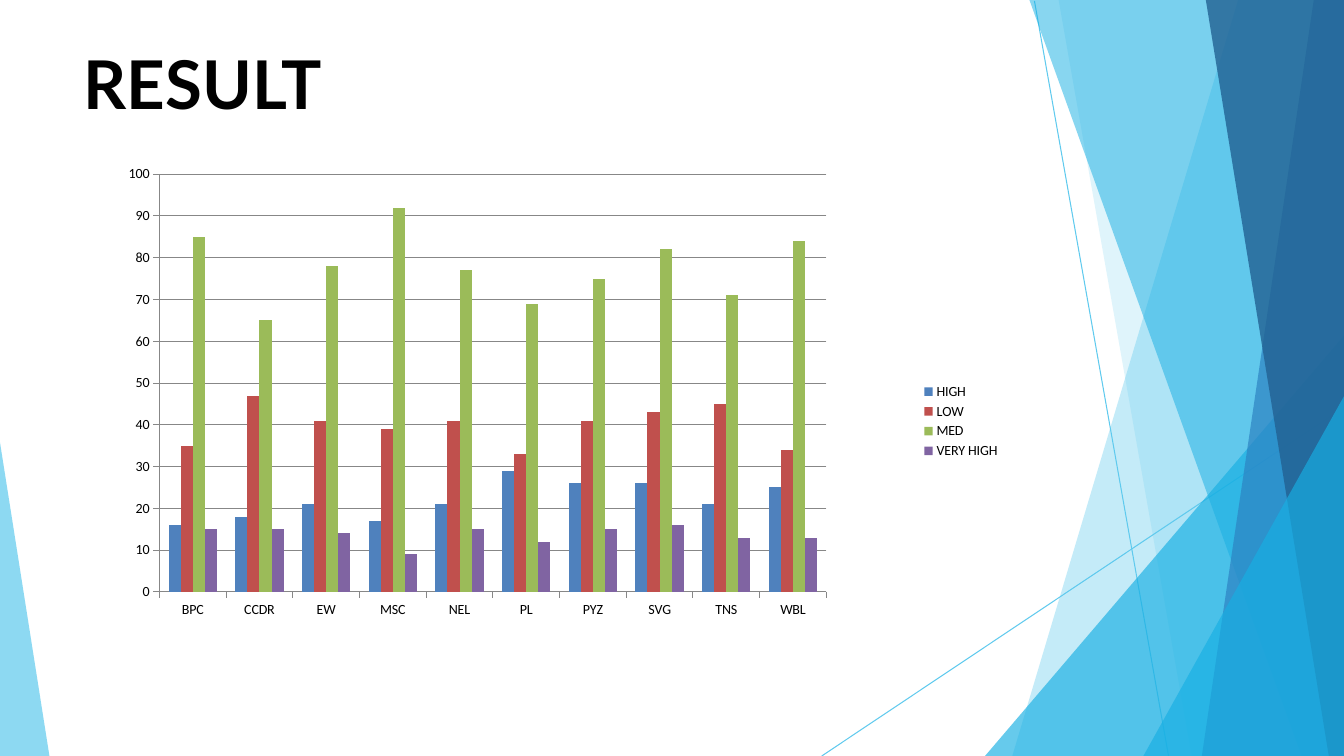
from lxml import etree
from pptx import Presentation
from pptx.chart.data import CategoryChartData
from pptx.dml.color import RGBColor
from pptx.enum.chart import XL_CHART_TYPE, XL_LEGEND_POSITION, XL_TICK_MARK
from pptx.enum.shapes import MSO_CONNECTOR
from pptx.enum.text import MSO_ANCHOR, PP_ALIGN
from pptx.oxml import parse_xml
from pptx.oxml.ns import nsdecls, qn
from pptx.util import Inches, Pt

SKY = RGBColor(0x5F, 0xCA, 0xEE)
CYAN = RGBColor(0x17, 0xAF, 0xE3)
BLUE = RGBColor(0x2D, 0x83, 0xC3)
NAVY = RGBColor(0x22, 0x61, 0x92)
BLACK = RGBColor(0, 0, 0)
GRAY = RGBColor(0x87, 0x87, 0x87)

W, H = 13.33, 7.5
TITLE = "RESULT"
CATEGORIES = ["BPC", "CCDR", "EW", "MSC", "NEL", "PL", "PYZ", "SVG", "TNS", "WBL"]
SERIES = [  # name, colour, values
    ("HIGH", RGBColor(0x4F, 0x81, 0xBD), (16, 18, 21, 17, 21, 29, 26, 26, 21, 25)),
    ("LOW", RGBColor(0xC0, 0x50, 0x4D), (35, 47, 41, 39, 41, 33, 41, 43, 45, 34)),
    ("MED", RGBColor(0x9B, 0xBB, 0x59), (85, 65, 78, 92, 77, 69, 75, 82, 71, 84)),
    ("VERY HIGH", RGBColor(0x80, 0x64, 0xA2), (15, 15, 14, 9, 15, 12, 15, 16, 13, 13)),
]
PLOT_AREA = {"x": 0.107, "y": 0.07, "w": 0.7, "h": 0.727}  # share of the chart

RAYS = [((10.26, 0.01), (11.59, H)), ((W, 4.04), (8.15, H))]


def band(top, bottom):
    """Corners of a full-height band against the right edge."""
    return [(W, 0), (top, 0), (bottom, H), (W, H)]


def wedge(top, bottom):
    """Corners of a triangle in the lower right corner."""
    return [(W, top), (bottom, H), (W, H)]


FACETS = [  # corners, colour, opacity in percent
    (band(12.28, 10.04), SKY, 37),
    (band(10.5, 11.82), SKY, 20),
    (wedge(3.33, 9.77), CYAN, 66),
    (band(10.21, 12.91), CYAN, 51),
    (band(13.03, 11.92), BLUE, 71),
    (band(11.96, 13.18), NAVY, 80),
    (wedge(3.93, 11.34), CYAN, 66),
    ([(0, 4.39), (0, H), (0.49, H)], SKY, 71),
]


def add_ray(slide, start, end):
    points = [Inches(v) for v in start + end]
    line = slide.shapes.add_connector(MSO_CONNECTOR.STRAIGHT, *points)
    line.line.color.rgb = SKY
    line.line.width = Pt(0.75)
    etree.SubElement(line._element.spPr, qn("a:effectLst"))


def add_facet(slide, corners, color, opacity):
    points = [(Inches(x), Inches(y)) for x, y in corners]
    builder = slide.shapes.build_freeform(*points[0])
    builder.add_line_segments(points[1:], close=True)
    sp = builder.convert_to_shape()
    sp.shadow.inherit = False
    sp.line.fill.background()
    sp.fill.solid()
    sp.fill.fore_color.rgb = color
    rgb = sp._element.spPr.find(".//" + qn("a:srgbClr"))
    etree.SubElement(rgb, qn("a:alpha")).set("val", str(opacity * 1000))


def set_text(tf, text, font="Lato", size=48, color=BLACK, bold=True):
    tf.margin_left = tf.margin_right = tf.margin_top = tf.margin_bottom = 0
    tf.vertical_anchor = MSO_ANCHOR.TOP
    tf.word_wrap = True
    p = tf.paragraphs[0]
    p.alignment = PP_ALIGN.LEFT
    r = p.add_run()
    r.text = text
    r.font.name, r.font.size, r.font.bold = font, Pt(size), bold
    r.font.color.rgb = color


def set_font(font):
    font.name, font.size, font.bold = "Calibri", Pt(10), False
    font.color.rgb = BLACK


def set_line(line):
    line.color.rgb = GRAY
    line.width = Pt(0.75)


def place_plot(chart):
    """Fix the inner plot area inside the chart frame."""
    area = chart._chartSpace.chart.plotArea
    for old in area.findall(qn("c:layout")):
        area.remove(old)
    sizes = "".join(f'<c:{k} val="{v}"/>' for k, v in PLOT_AREA.items())
    area.insert(0, parse_xml(
        f'<c:layout {nsdecls("c")}><c:manualLayout><c:layoutTarget val="inner"/>'
        f'<c:xMode val="edge"/><c:yMode val="edge"/>{sizes}'
        '</c:manualLayout></c:layout>'))


def add_result_chart(slide):
    data = CategoryChartData()
    data.categories = CATEGORIES
    for name, _, values in SERIES:
        data.add_series(name, values)
    chart = slide.shapes.add_chart(
        XL_CHART_TYPE.COLUMN_CLUSTERED, Inches(0.57), Inches(1.33),
        Inches(9.45), Inches(5.7), data).chart
    set_font(chart.font)
    chart.has_title = False
    chart.has_legend = True
    chart.legend.position = XL_LEGEND_POSITION.RIGHT
    chart.legend.include_in_layout = False
    set_font(chart.legend.font)

    plot = chart.plots[0]
    plot.gap_width = 150
    plot.overlap = 0
    plot.vary_by_categories = False
    for series, (_, color, _) in zip(plot.series, SERIES):
        series.format.fill.solid()
        series.format.fill.fore_color.rgb = color

    for axis in (chart.category_axis, chart.value_axis):
        axis.major_tick_mark = XL_TICK_MARK.OUTSIDE
        axis.minor_tick_mark = XL_TICK_MARK.NONE
        set_font(axis.tick_labels.font)
        set_line(axis.format.line)
    values = chart.value_axis
    values.minimum_scale, values.maximum_scale, values.major_unit = 0, 100, 10
    values.has_major_gridlines = True
    set_line(values.major_gridlines.format.line)
    place_plot(chart)


def main():
    prs = Presentation()
    prs.slide_width, prs.slide_height = Inches(W), Inches(H)
    slide = prs.slides.add_slide(prs.slide_layouts[5])

    # Faceted background
    for start, end in RAYS:
        add_ray(slide, start, end)
    for corners, color, opacity in FACETS:
        add_facet(slide, corners, color, opacity)

    # Title
    title = slide.shapes.title
    title.left, title.top = Inches(0.83), Inches(0.42)
    title.width, title.height = Inches(11.68), Inches(0.83)
    set_text(title.text_frame, TITLE)

    # Chart
    add_result_chart(slide)
    prs.save("out.pptx")


if __name__ == "__main__":
    main()
